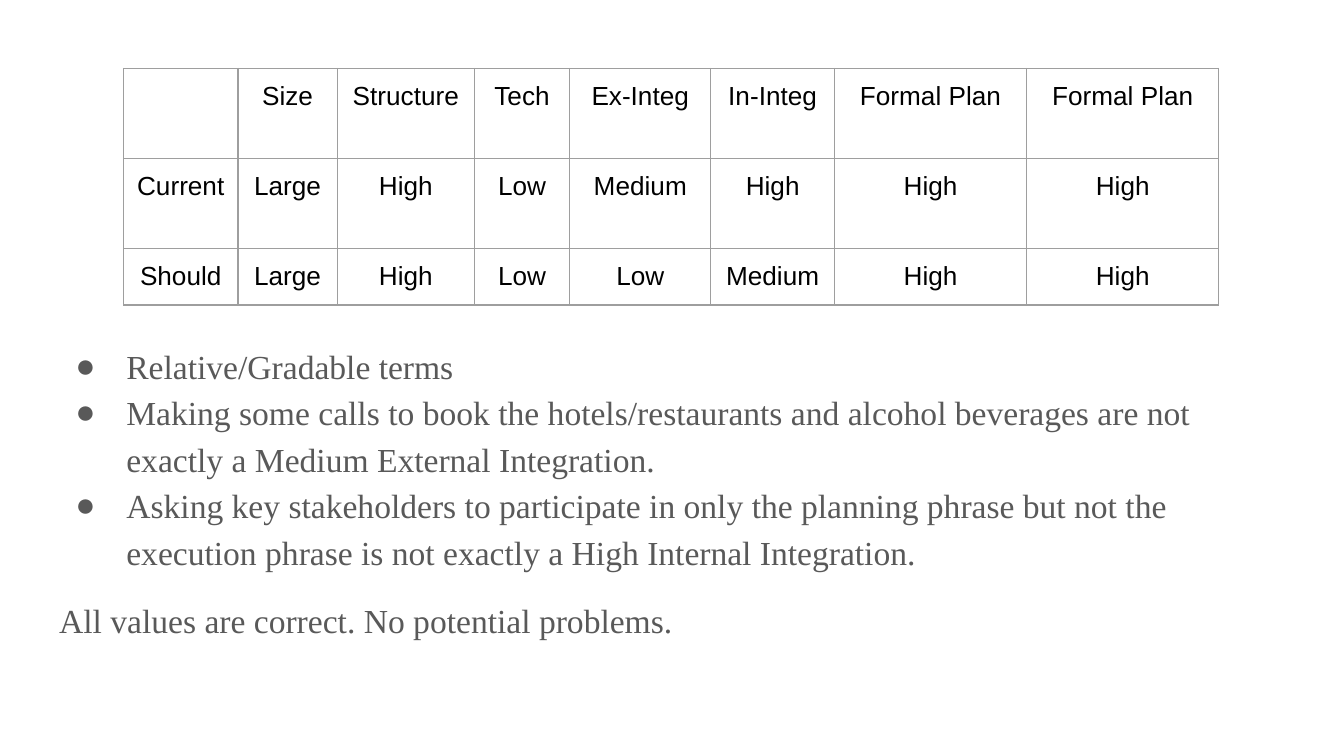
from dataclasses import dataclass

from lxml.etree import SubElement
from pptx import Presentation
from pptx.dml.color import RGBColor
from pptx.enum.text import MSO_ANCHOR, MSO_AUTO_SIZE, PP_ALIGN
from pptx.oxml import parse_xml
from pptx.oxml.ns import nsdecls, qn
from pptx.util import Inches, Pt


@dataclass(frozen=True)
class Theme:
    table_font: str = "Arial"
    body_font: str = "Times New Roman"
    table_size: int = 14
    body_size: int = 18
    table_color: str = "000000"
    body_color: str = "595959"
    border_color: str = "9E9E9E"
    border_width: float = 0.75
    inset: float = 0.1


THEME = Theme()
SLIDE_W = 10
SLIDE_H = SLIDE_W * 9 / 16

# Table grid, in inches
TABLE_LEFT, TABLE_TOP = 0.92, 0.51
COLUMNS = [0.85, 0.74, 1.02, 0.71, 1.05, 0.92, 1.43, 1.43]
ROWS = [0.67, 0.67, 0.42]
RATINGS = [
    ["", "Size", "Structure", "Tech", "Ex-Integ", "In-Integ", "Formal Plan", "Formal Plan"],
    ["Current", "Large", "High", "Low", "Medium", "High", "High", "High"],
    ["Should", "Large", "High", "Low", "Low", "Medium", "High", "High"],
]

BULLETS = [
    "Relative/Gradable terms",
    "Making some calls to book the hotels/restaurants and alcohol beverages "
    "are not exactly a Medium External Integration.",
    "Asking key stakeholders to participate in only the planning phrase but "
    "not the execution phrase is not exactly a High Internal Integration.",
]
CONCLUSION = "All values are correct. No potential problems."


def add_run(p, text, font, size, color):
    r = p.add_run()
    r.text = text
    r.font.name = font
    r.font.size = Pt(size)
    r.font.color.rgb = RGBColor.from_string(color)


def set_insets(box):
    """Give a cell or a text frame the same margin on every side."""
    box.margin_left = box.margin_right = Inches(THEME.inset)
    box.margin_top = box.margin_bottom = Inches(THEME.inset)


def set_borders(cell):
    tc_pr = cell._tc.get_or_add_tcPr()
    for i, side in enumerate("LRTB"):
        tc_pr.insert(i, parse_xml(
            f'<a:ln{side} {nsdecls("a")} w="{Pt(THEME.border_width)}">'
            f'<a:solidFill><a:srgbClr val="{THEME.border_color}"/></a:solidFill>'
            f'</a:ln{side}>'))


def add_ratings_table(slide):
    table = slide.shapes.add_table(
        len(ROWS), len(COLUMNS), Inches(TABLE_LEFT), Inches(TABLE_TOP),
        Inches(sum(COLUMNS)), Inches(sum(ROWS))).table
    table.first_row = table.horz_banding = False
    for column, width in zip(table.columns, COLUMNS):
        column.width = Inches(width)
    for row, height, texts in zip(table.rows, ROWS, RATINGS):
        row.height = Inches(height)
        for cell, text in zip(row.cells, texts):
            set_insets(cell)
            cell.fill.background()
            set_borders(cell)
            p = cell.text_frame.paragraphs[0]
            p.alignment = PP_ALIGN.CENTER
            if text:
                add_run(p, text, THEME.table_font, THEME.table_size, THEME.table_color)


def set_bullet(p, char=None):
    """Use a hanging bullet, or none when no character is given."""
    p_pr = p._p.get_or_add_pPr()
    p_pr.set("marL", str(Inches(0.5 if char else 0)))
    p_pr.set("indent", str(Inches(-0.38 if char else 0)))
    if char:
        color = SubElement(p_pr, qn("a:buClr"))
        SubElement(color, qn("a:srgbClr"), val=THEME.body_color)
        SubElement(p_pr, qn("a:buFont"), typeface=THEME.body_font)
        SubElement(p_pr, qn("a:buChar"), char=char)
    else:
        SubElement(p_pr, qn("a:buNone"))


def add_body_paragraph(p, text, bullet=None, space=0):
    p.line_spacing = 1.15
    p.space_before = p.space_after = Pt(space)
    set_bullet(p, bullet)
    add_run(p, text, THEME.body_font, THEME.body_size, THEME.body_color)


def fill_body(body):
    body.left, body.top = Inches(0.34), Inches(2.43)
    body.width, body.height = Inches(9.32), Inches(2.56)
    tf = body.text_frame
    tf.word_wrap = True
    tf.auto_size = MSO_AUTO_SIZE.NONE
    tf.vertical_anchor = MSO_ANCHOR.TOP
    set_insets(tf)
    for i, text in enumerate(BULLETS):
        p = tf.add_paragraph() if i else tf.paragraphs[0]
        add_body_paragraph(p, text, bullet="●")
    add_body_paragraph(tf.add_paragraph(), CONCLUSION, space=12)


def main():
    prs = Presentation()
    prs.slide_width, prs.slide_height = Inches(SLIDE_W), Inches(SLIDE_H)
    slide = prs.slides.add_slide(prs.slide_layouts[1])

    # The slide has no title
    title = slide.shapes.title._element
    title.getparent().remove(title)

    # Comments below, ratings above
    fill_body(slide.placeholders[1])
    add_ratings_table(slide)
    prs.save("out.pptx")


if __name__ == "__main__":
    main()
